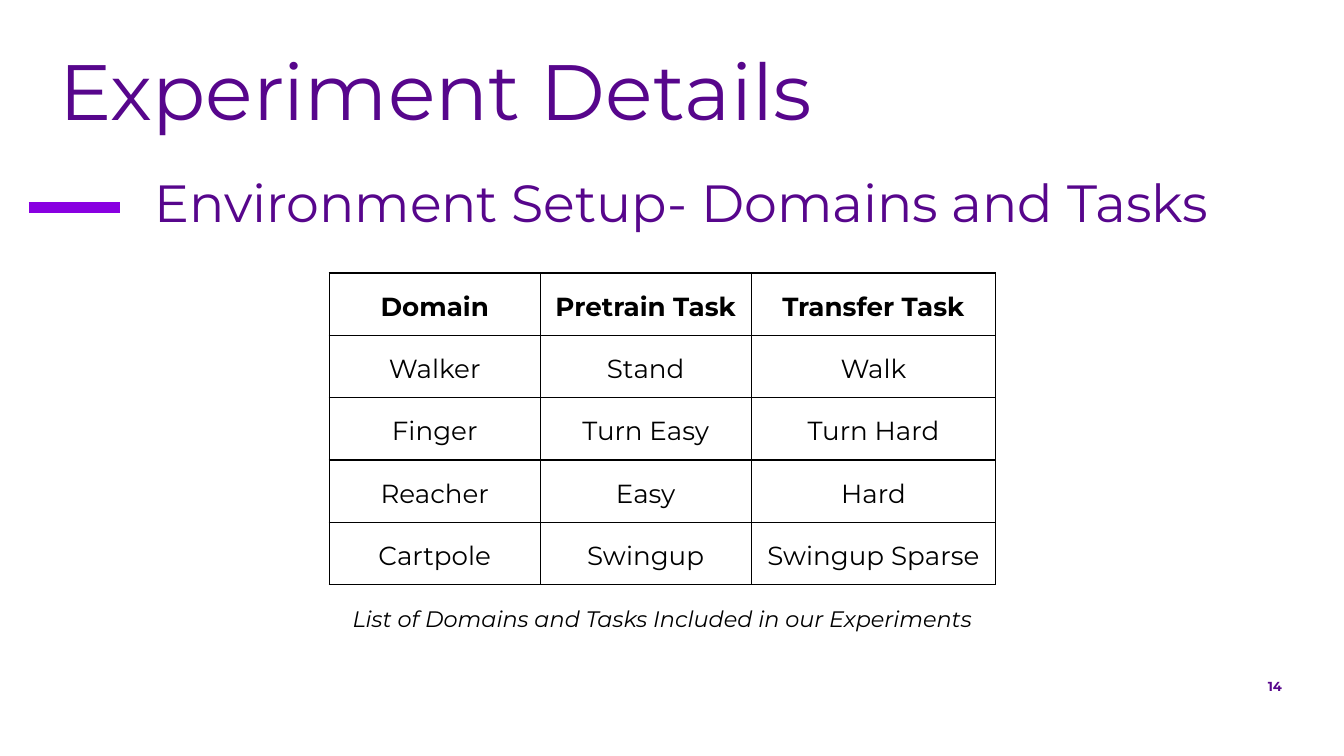
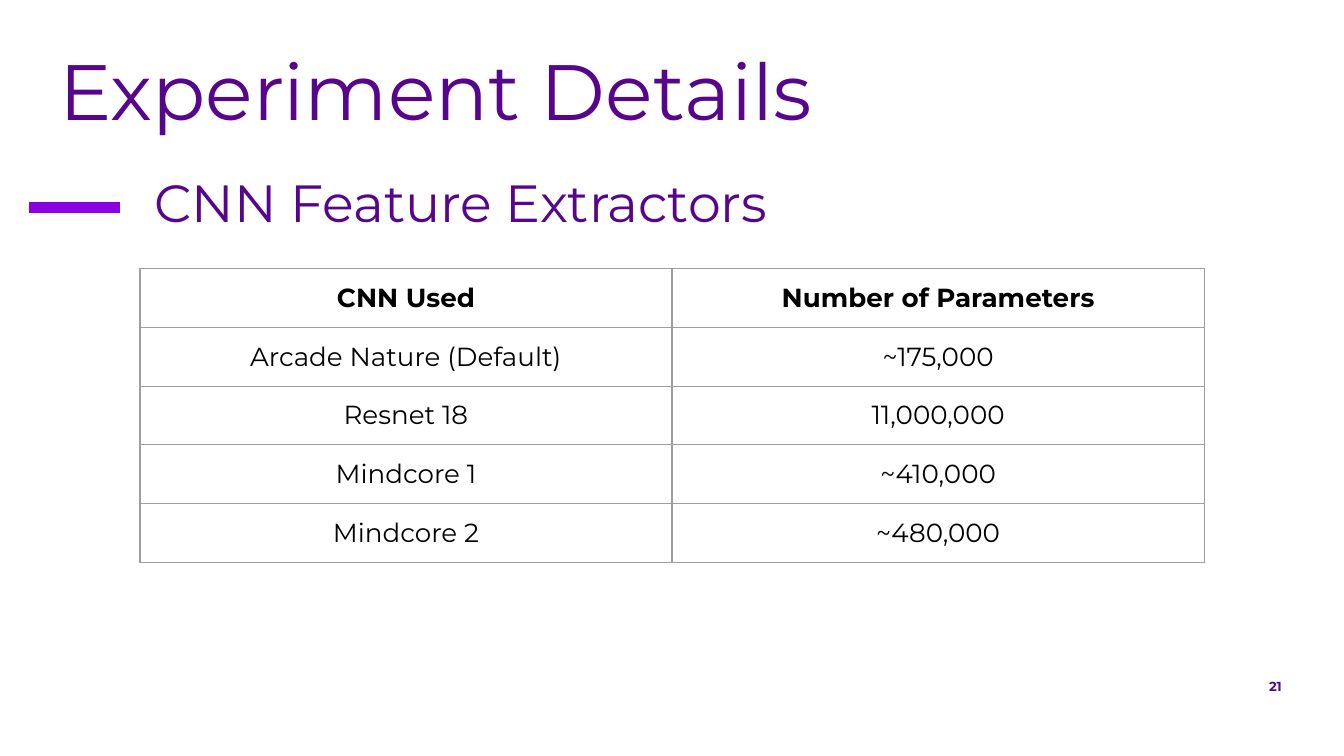
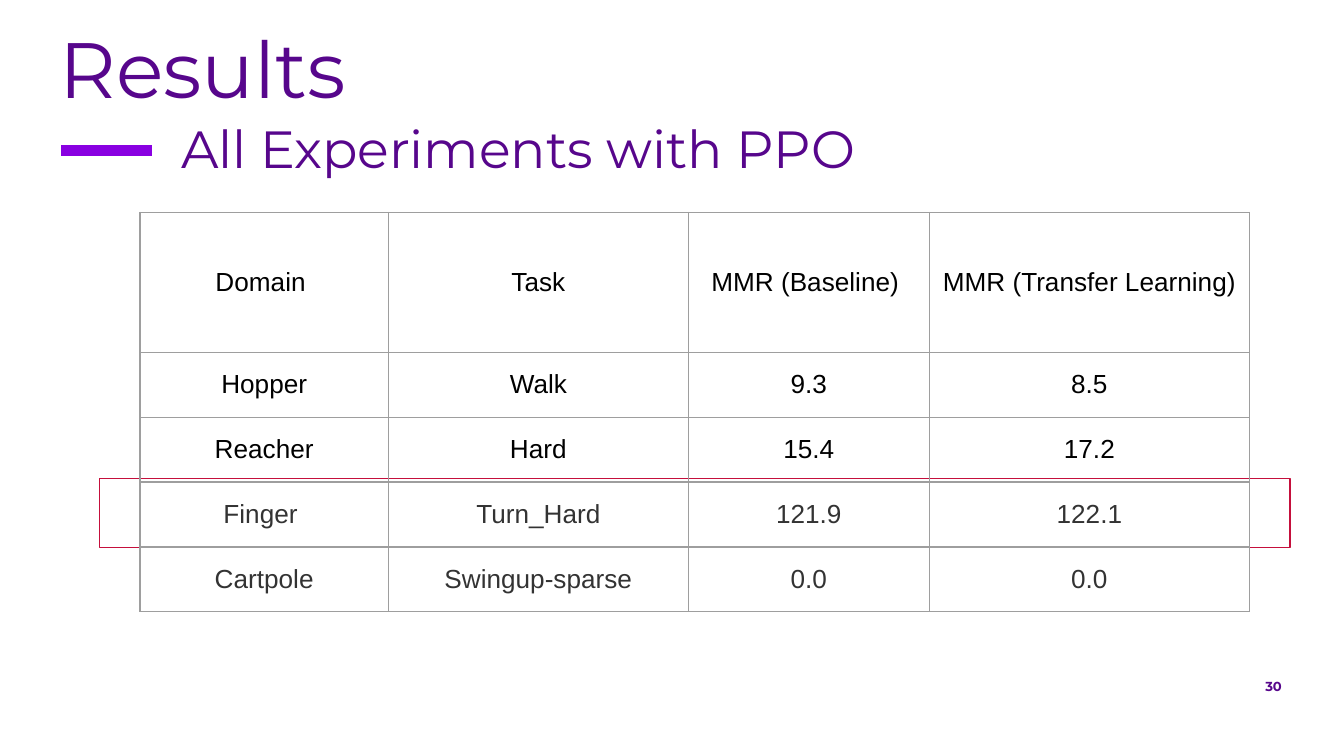
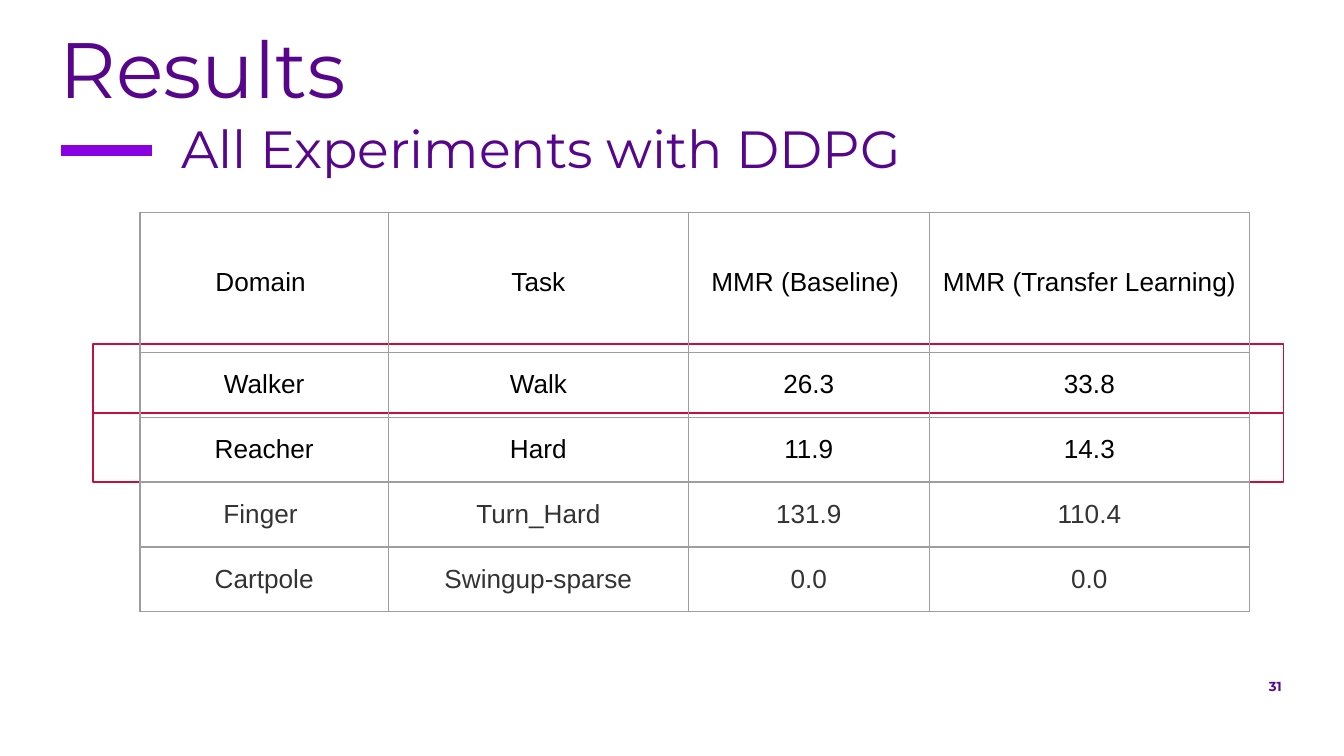
from dataclasses import dataclass
from typing import Any, NamedTuple

from lxml import etree
from pptx import Presentation
from pptx import util as u
from pptx.dml.color import RGBColor
from pptx.enum import shapes, text
from pptx.oxml import ns

COLUMNS, ROWS = 100, 56.25
CELL = u.Inches(10) / COLUMNS

VIOLET, BRIGHT, CRIMSON = "57068C", "8900E1", "C50F3C"
BLACK, CHARCOAL, GREY, WHITE = "000000", "333333", "9E9E9E", "FFFFFF"
LEFT, CENTER, RIGHT = text.PP_ALIGN.LEFT, text.PP_ALIGN.CENTER, text.PP_ALIGN.RIGHT
TOP, MIDDLE = text.MSO_ANCHOR.TOP, text.MSO_ANCHOR.MIDDLE


class Area(NamedTuple):
    column: float
    row: float
    columns: float
    rows: float


@dataclass(frozen=True)
class Style:
    size: float
    color: str = BLACK
    name: str = "Montserrat"
    bold: bool = False
    italic: bool = False
    align: Any = LEFT
    spacing: float = 1.0


@dataclass(frozen=True)
class Header:
    title: Area
    subtitle: Area
    dash_column: float
    dash_row: float


@dataclass(frozen=True)
class Grid:
    column: float
    row: float
    widths: tuple[float, ...]
    heights: tuple[float, ...]
    border: str
    inset: tuple[float, float]
    anchor: Any
    head: Style
    body: Style
    late: Style


TITLE = Style(42, VIOLET, spacing=0.85)
SUBTITLE = Style(28, VIOLET, spacing=0.85)
NUMBER = Style(7, VIOLET, bold=True, align=RIGHT)
CAPTION = Style(12, italic=True, align=CENTER)
LOOSE_HEAD = Style(14, bold=True, align=CENTER, spacing=1.15)
LOOSE_BODY = Style(14, align=CENTER, spacing=1.15)
HEAD = Style(14, bold=True, align=CENTER)
BODY = Style(14, align=CENTER)
RESULT = Style(14, name="Arial", align=CENTER)
RESULT_LATE = Style(14, CHARCOAL, "Arial", align=CENTER)

NUMBER_AREA = Area(50.45, 49.4, 45.9, 3.4)
CAPTION_AREA = Area(24.5, 44.05, 49.6, 4)
DASH_COLUMNS = 6.8
BAND_COLUMNS, BAND_ROWS = 88.6, 5.14

DETAILS = Header(Area(3.43, 3.2, 92.1, 8.3), Area(10.5, 12.4, 92.1, 8.3), 2.15, 15.43)
RESULTS = Header(Area(3.43, 1.55, 92.1, 12.5), Area(12.5, 8.35, 74.3, 6), 4.55, 11.2)

TASK_GRID = Grid(24.5, 20.32, (15.7, 15.7, 18.2), (4.64,) * 5, BLACK,
                 (0.3, 0.2), MIDDLE, LOOSE_HEAD, LOOSE_BODY, LOOSE_BODY)
CNN_GRID = Grid(10.41, 20, (39.6, 39.6), (4.37,) * 5, GREY,
                (1, 1), TOP, HEAD, BODY, BODY)
RESULT_GRID = Grid(10.41, 15.8, (18.5, 22.3, 17.95, 23.8), (10.42,) + (4.83,) * 4, GREY,
                   (0.9, 1), MIDDLE, RESULT, RESULT, RESULT_LATE)

TASKS = [
    ("Domain", "Pretrain Task", "Transfer Task"),
    ("Walker", "Stand", "Walk"),
    ("Finger", "Turn Easy", "Turn Hard"),
    ("Reacher", "Easy", "Hard"),
    ("Cartpole", "Swingup", "Swingup Sparse"),
]
EXTRACTORS = [
    ("CNN Used", "Number of Parameters"),
    ("Arcade Nature (Default)", "~175,000"),
    ("Resnet 18", "11,000,000"),
    ("Mindcore 1", "~410,000"),
    ("Mindcore 2", "~480,000"),
]
RESULT_HEAD = ("Domain ", "Task", "MMR (Baseline) ", "MMR (Transfer Learning)")
PPO = [
    RESULT_HEAD,
    ("Hopper", "Walk", "9.3", "8.5"),
    ("Reacher", "Hard", "15.4", "17.2"),
    ("Finger ", "Turn_Hard", "121.9", "122.1"),
    ("Cartpole", "Swingup-sparse", "0.0", "0.0"),
]
DDPG = [
    RESULT_HEAD,
    ("Walker", "Walk", "26.3", "33.8"),
    ("Reacher", "Hard", "11.9", "14.3"),
    ("Finger ", "Turn_Hard", "131.9", "110.4"),
    ("Cartpole", "Swingup-sparse", "0.0", "0.0"),
]


def span_of(cells: float) -> u.Emu:
    return u.Emu(round(cells * CELL))


def place(area: Area) -> list[u.Emu]:
    return [span_of(value) for value in area]


def paint(color: str) -> RGBColor:
    return RGBColor.from_string(color)


def assign(target: Any, values: dict[str, Any]) -> None:
    for key, value in values.items():
        setattr(target, key, value)


def write(frame: Any, words: str, style: Style) -> None:
    para = frame.paragraphs[0]
    assign(para, {"alignment": style.align, "line_spacing": style.spacing})
    span = para.add_run()
    span.text = words
    assign(span.font, {"name": style.name, "size": u.Pt(style.size),
                       "bold": style.bold, "italic": style.italic})
    span.font.color.rgb = paint(style.color)


def add_text(page: Any, area: Area, words: str, style: Style, anchor: Any = TOP) -> None:
    frame = page.shapes.add_textbox(*place(area)).text_frame
    margins = {f"margin_{side}": span_of(1) for side in ("left", "top", "right", "bottom")}
    assign(frame, {"word_wrap": True, "vertical_anchor": anchor, **margins})
    write(frame, words, style)


def add_dash(page: Any, column: float, row: float) -> None:
    ends = (column, row, column + DASH_COLUMNS, row)
    dash = page.shapes.add_connector(shapes.MSO_CONNECTOR.STRAIGHT, *map(span_of, ends))
    dash.line.color.rgb = paint(BRIGHT)
    dash.line.width = u.Pt(6)
    etree.SubElement(dash._element.spPr, ns.qn("a:effectLst"))


def add_band(page: Any, column: float, row: float) -> None:
    area = Area(column, row, BAND_COLUMNS, BAND_ROWS)
    band = page.shapes.add_shape(shapes.MSO_SHAPE.RECTANGLE, *place(area))
    band.shadow.inherit = False
    band.fill.solid()
    band.fill.fore_color.rgb = paint(WHITE)
    band.line.color.rgb = paint(CRIMSON)
    band.line.width = u.Pt(0.75)


def add_borders(cell: Any, color: str) -> None:
    properties = cell._tc.get_or_add_tcPr()
    for side in ("lnL", "lnR", "lnT", "lnB"):
        line = etree.SubElement(properties, ns.qn(f"a:{side}"), w=str(u.Pt(0.75)))
        fill = etree.SubElement(line, ns.qn("a:solidFill"))
        etree.SubElement(fill, ns.qn("a:srgbClr"), val=color)


def add_grid(page: Any, grid: Grid, records: list[tuple[str, ...]]) -> None:
    area = Area(grid.column, grid.row, sum(grid.widths), sum(grid.heights))
    table = page.shapes.add_table(len(records), len(grid.widths), *place(area)).table
    assign(table, {"first_row": False, "horz_banding": False})
    for column, width in zip(table.columns, grid.widths):
        column.width = span_of(width)
    for row, height in zip(table.rows, grid.heights):
        row.height = span_of(height)
    across, down = map(span_of, grid.inset)
    layout = {"margin_left": across, "margin_right": across, "margin_top": down,
              "margin_bottom": down, "vertical_anchor": grid.anchor}
    styles = (grid.head, grid.body, grid.body, grid.late, grid.late)
    for row, record, style in zip(table.rows, records, styles):
        for cell, words in zip(row.cells, record):
            assign(cell, layout)
            add_borders(cell, grid.border)
            cell.fill.background()
            write(cell.text_frame, words, style)


def add_page(deck: Any, number: int, header: Header, title: str, subtitle: str,
             grid: Grid, records: list[tuple[str, ...]],
             bands: tuple[tuple[float, float], ...] = ()) -> Any:
    page = deck.slides.add_slide(deck.slide_layouts[6])
    add_text(page, NUMBER_AREA, str(number), NUMBER, MIDDLE)
    for column, row in bands:
        add_band(page, column, row)
    add_text(page, header.title, title, TITLE)
    add_dash(page, header.dash_column, header.dash_row)
    add_text(page, header.subtitle, subtitle, SUBTITLE)
    add_grid(page, grid, records)
    return page


def main() -> None:
    deck = Presentation()
    assign(deck, {"slide_width": span_of(COLUMNS), "slide_height": span_of(ROWS)})
    tasks = add_page(deck, 14, DETAILS, "Experiment Details",
                     "Environment Setup- Domains and Tasks", TASK_GRID, TASKS)
    add_text(tasks, CAPTION_AREA,
             "List of Domains and Tasks Included in our Experiments", CAPTION)
    add_page(deck, 21, DETAILS, "Experiment Details", "CNN Feature Extractors",
             CNN_GRID, EXTRACTORS)
    add_page(deck, 30, RESULTS, "Results", "All Experiments with PPO",
             RESULT_GRID, PPO, ((7.4, 35.6),))
    add_page(deck, 31, RESULTS, "Results", "All Experiments with DDPG",
             RESULT_GRID, DDPG, ((6.93, 30.74), (6.93, 25.6)))
    deck.save("out.pptx")


if __name__ == "__main__":
    main()
